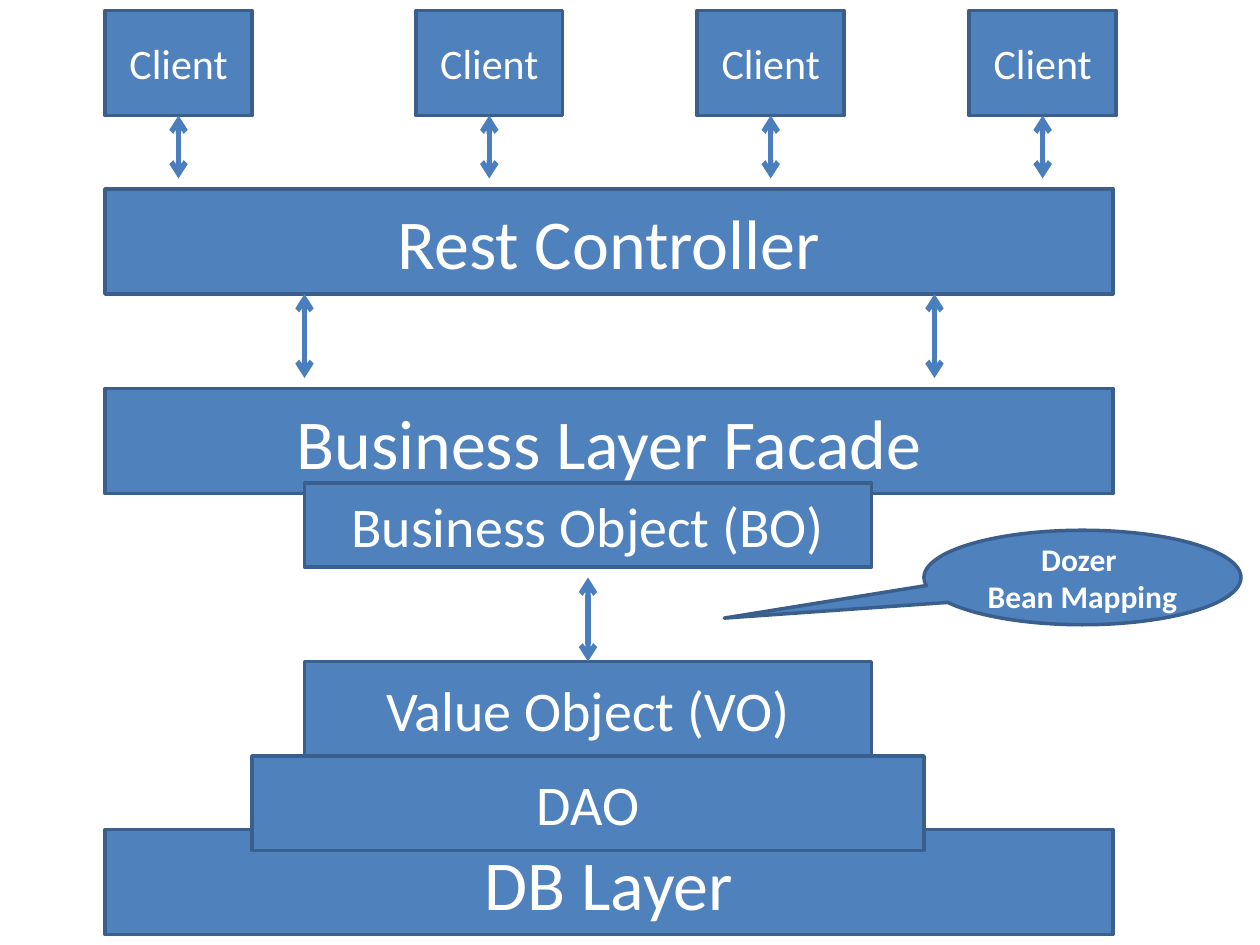
from typing import NamedTuple

from lxml import etree
from pptx import Presentation
from pptx import util as u
from pptx.dml.color import RGBColor
from pptx.enum import shapes, text
from pptx.oxml import ns

BOX_FILL = RGBColor(0x4F, 0x81, 0xBD)
BOX_LINE = RGBColor(0x3A, 0x5F, 0x8C)
ARROW_COLOR = RGBColor(0x4B, 0x7E, 0xBC)
WHITE = RGBColor(0xFF, 0xFF, 0xFF)
FONT = "Calibri"
CELLS_PER_INCH = 12
CLIENT_WIDTH = 14


class Box(NamedTuple):
    label: str
    column: float
    row: float
    columns: float
    rows: float
    size: int
    bold: bool = False
    kind: shapes.MSO_SHAPE = shapes.MSO_SHAPE.RECTANGLE


class Arrow(NamedTuple):
    column: float
    top_row: float
    bottom_row: float


def grid(cells: float) -> u.Length:
    return u.Inches(cells / CELLS_PER_INCH)


def draw_box(slide, box: Box):
    shape = slide.shapes.add_shape(
        box.kind, grid(box.column), grid(box.row), grid(box.columns), grid(box.rows)
    )
    shape.shadow.inherit = False
    shape.fill.solid()
    shape.fill.fore_color.rgb = BOX_FILL
    shape.line.color.rgb = BOX_LINE
    shape.line.width = u.Pt(2)
    frame = shape.text_frame
    frame.text = box.label
    frame.word_wrap = True
    frame.vertical_anchor = text.MSO_ANCHOR.MIDDLE
    for paragraph in frame.paragraphs:
        paragraph.alignment = text.PP_ALIGN.CENTER
        for run in paragraph.runs:
            run.font.name = FONT
            run.font.size = u.Pt(box.size)
            run.font.bold = box.bold
            run.font.color.rgb = WHITE
    return shape


def draw_arrow(slide, arrow: Arrow) -> None:
    connector = slide.shapes.add_connector(
        shapes.MSO_CONNECTOR.STRAIGHT,
        grid(arrow.column), grid(arrow.top_row),
        grid(arrow.column), grid(arrow.bottom_row),
    )
    connector.line.color.rgb = ARROW_COLOR
    connector.line.width = u.Pt(3)
    properties = connector.element.spPr
    line = properties.find(ns.qn("a:ln"))
    for end in ("a:headEnd", "a:tailEnd"):
        etree.SubElement(line, ns.qn(end), type="arrow")
    etree.SubElement(properties, ns.qn("a:effectLst"))


CLIENT_COLUMNS = (10, 39.6, 66.4, 92.3)
CLIENTS = [Box("Client", column, 1, CLIENT_WIDTH, 10, 24) for column in CLIENT_COLUMNS]
LAYERS = [
    Box("Rest Controller", 10, 18, 96, 10, 40),
    Box("Business Layer Facade", 10, 37, 96, 10, 40),
    Box("Business Object (BO)", 29, 46, 54, 8, 32),
    Box("DB Layer", 10, 79, 96, 10, 40),
    Box("Value Object (VO)", 29, 63, 54, 9, 32),
    Box("DAO", 24, 72, 64, 9, 32),
]
MAPPING = Box(
    "Dozer \nBean Mapping", 88, 50.5, 30.2, 9, 18, True,
    shapes.MSO_SHAPE.OVAL_CALLOUT,
)
ARROWS = [
    *(Arrow(column + CLIENT_WIDTH / 2, 11, 17) for column in CLIENT_COLUMNS),
    *(Arrow(column, 28, 36) for column in (29, 89)),
    Arrow(56, 55, 63),
]

presentation = Presentation()
presentation.slide_width = u.Inches(10)
presentation.slide_height = u.Inches(7.5)
slide = presentation.slides.add_slide(presentation.slide_layouts[6])

for box in CLIENTS + LAYERS:
    draw_box(slide, box)
for arrow in ARROWS:
    draw_arrow(slide, arrow)
callout = draw_box(slide, MAPPING)
callout.adjustments[0] = -1.13
callout.adjustments[1] = 0.43

presentation.save("out.pptx")
